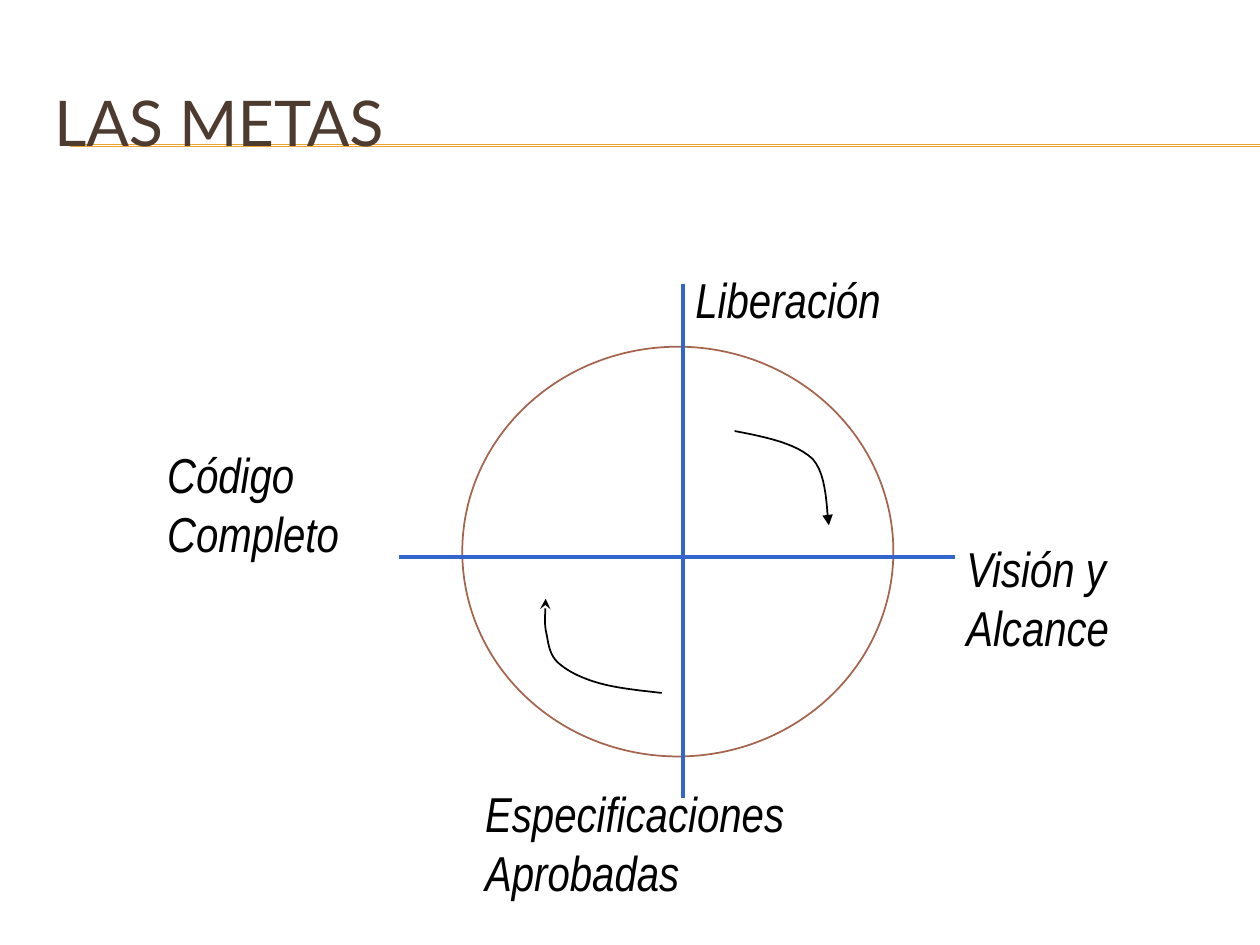
from pptx import Presentation
from pptx.dml.color import RGBColor
from pptx.enum.shapes import MSO_CONNECTOR as Conn, MSO_SHAPE as Shape
from pptx.enum.text import MSO_ANCHOR as Anchor
from pptx.oxml.ns import qn
from pptx.util import Cm, Pt
from lxml.etree import SubElement

STEPS = 12  # straight pieces per Bézier curve
MID_X, MID_Y = 13.77, 11.23  # where the axes cross

LABELS = [
    ("Liberación", 13.77, 5.31, 4.6, 1.45),
    ("Visión y\nAlcance", 19.23, 10.74, 3.61, 2.62),
    ("Código\nCompleto", 3.12, 8.84, 4.24, 2.62),
    ("Especificaciones\nAprobadas", 9.53, 15.67, 7.09, 2.62),
]

# Each curve: a start point, then two handles and an end point per piece
DOWN = [(14.81, 8.69), (15.44, 8.81), (16.05, 8.94), (16.38, 9.25),
        (16.69, 9.58), (16.66, 10.36), (16.71, 10.59)]
UP = [(13.34, 13.97), (12.88, 13.92), (12.42, 13.87), (12.07, 13.77),
      (11.71, 13.67), (11.4, 13.51), (11.23, 13.34),
      (11.05, 13.16), (11.05, 12.9), (11, 12.7),
      (10.97, 12.5), (11, 12.27), (11, 12.07)]


def color(code):
    return RGBColor.from_string(code)


def stroke(item, code, width):
    item.line.color.rgb = color(code)
    item.line.width = Pt(width)


def add_line(slide, x1, y1, x2, y2, code, width):
    line = slide.shapes.add_connector(
        Conn.STRAIGHT, Cm(x1), Cm(y1), Cm(x2), Cm(y2))
    stroke(line, code, width)
    SubElement(line._element.spPr, qn("a:effectLst"))


def add_text(slide, text, x, y, w, h, font, size, code,
             italic=False, wrap=False, anchor=Anchor.TOP):
    box = slide.shapes.add_textbox(Cm(x), Cm(y), Cm(w), Cm(h))
    frame = box.text_frame
    frame.text = text
    frame.word_wrap = wrap
    frame.vertical_anchor = anchor
    for para in frame.paragraphs:
        for run in para.runs:
            run.font.name = font
            run.font.size = Pt(size)
            run.font.italic = italic
            run.font.color.rgb = color(code)


def add_ring(slide, x, y, w, h, code):
    ring = slide.shapes.add_shape(Shape.OVAL, Cm(x), Cm(y), Cm(w), Cm(h))
    ring.shadow.inherit = False
    ring.fill.background()
    stroke(ring, code, 1)


def bezier(a, b, c, d, t):
    u = 1 - t
    return tuple(
        Cm(u**3 * p + 3 * u * u * t * q + 3 * u * t * t * r + t**3 * s)
        for p, q, r, s in zip(a, b, c, d))


def add_curve(slide, points, head):
    spots = [bezier(*points[i:i + 4], n / STEPS)
             for i in range(0, len(points) - 1, 3)
             for n in range(1, STEPS + 1)]
    x, y = points[0]
    build = slide.shapes.build_freeform(Cm(x), Cm(y))
    build.add_line_segments(spots, close=False)
    curve = build.convert_to_shape()
    curve.shadow.inherit = False
    curve.fill.background()
    stroke(curve, "000000", 1)
    SubElement(curve._element.spPr.find(qn("a:ln")), qn("a:tailEnd"), type=head)


def main():
    deck = Presentation()
    deck.slide_width, deck.slide_height = Cm(25.4), Cm(19.05)
    slide = deck.slides.add_slide(deck.slide_layouts[6])

    # Title over its double rule
    for y in (2.92, 2.95):
        add_line(slide, 1.42, y, 25.4, y, "F0A22E", 0.75)
    add_text(slide, "LAS METAS", 0.84, 1.27, 24.13, 2.34, "Lato", 36,
             "4E3B30", wrap=True, anchor=Anchor.MIDDLE)

    # Cycle with its axes
    add_ring(slide, 9.32, 6.99, 8.69, 8.26, "A5644E")
    add_line(slide, MID_X, 5.72, MID_X, 16.08, "3366CC", 2.25)
    add_line(slide, 8.05, MID_Y, 19.25, MID_Y, "3366CC", 2.25)

    # Direction of travel
    add_curve(slide, DOWN, "triangle")
    add_curve(slide, UP, "stealth")

    # Goals
    for label in LABELS:
        add_text(slide, *label, "Arial Narrow", 28, "000000", italic=True)

    deck.save("out.pptx")


if __name__ == "__main__":
    main()
